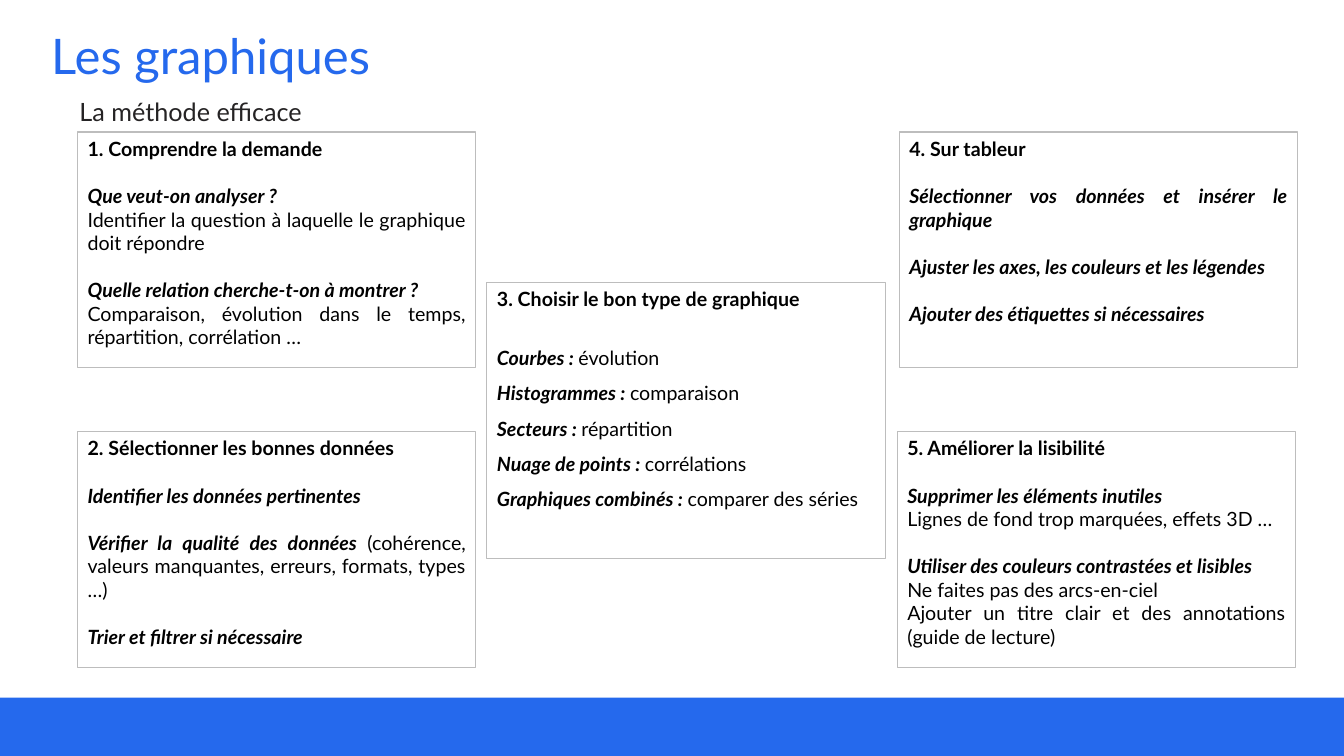
from dataclasses import dataclass

import pptx
import pptx.dml.color
import pptx.enum.shapes
import pptx.enum.text
import pptx.util

Inches = pptx.util.Inches
Align = pptx.enum.text.PP_ALIGN
Anchor = pptx.enum.text.MSO_ANCHOR

FONT = "Lato"
COLORS = {
    "blue": "2569ED",
    "dark": "252324",
    "black": "000000",
    "white": "FFFFFF",
    "border": "BDBDBD",
}
CARD_WIDTH = 3.95
CARD_HEIGHT = 2.34
TOP_ROW, BOTTOM_ROW = 1.31, 4.28
BODY_SIZE = 14
GAP = 16.8  # one blank line of body text, in points


@dataclass
class Line:
    strong: str = ""  # bold italic part
    plain: str = ""
    gap: bool = False  # one line of space above


@dataclass
class Card:
    left: float
    top: float
    heading: str
    lines: list[Line]
    height: float = CARD_HEIGHT
    line_spacing: float = 1.0


CARDS = [
    Card(0.77, TOP_ROW, "1. Comprendre la demande", [
        Line("Que veut-on analyser ?", gap=True),
        Line(plain="Identifier la question à laquelle le graphique doit répondre"),
        Line("Quelle relation cherche-t-on à montrer ?", gap=True),
        Line(plain="Comparaison, évolution dans le temps, répartition, corrélation …"),
    ]),
    Card(0.77, BOTTOM_ROW, "2. Sélectionner les bonnes données", [
        Line("Identifier les données pertinentes", gap=True),
        Line("Vérifier la qualité des données ",
             "(cohérence, valeurs manquantes, erreurs, formats, types …)", gap=True),
        Line("Trier et filtrer si nécessaire", gap=True),
    ]),
    Card(8.92, TOP_ROW, "4. Sur tableur", [
        Line("Sélectionner vos données et insérer le graphique", gap=True),
        Line("Ajuster les axes, les couleurs et les légendes", gap=True),
        Line("Ajouter des étiquettes si nécessaires", gap=True),
    ]),
    Card(8.9, BOTTOM_ROW, "5. Améliorer la lisibilité", [
        Line("Supprimer les éléments inutiles", gap=True),
        Line(plain="Lignes de fond trop marquées, effets 3D …"),
        Line("Utiliser des couleurs contrastées et lisibles", gap=True),
        Line(plain="Ne faites pas des arcs-en-ciel"),
        Line(plain="Ajouter un titre clair et des annotations (guide de lecture)"),
    ]),
    Card(4.83, 2.8, "3. Choisir le bon type de graphique", [
        Line("Courbes : ", "évolution", gap=True),
        Line("Histogrammes : ", "comparaison"),
        Line("Secteurs : ", "répartition"),
        Line("Nuage de points : ", "corrélations"),
        Line("Graphiques combinés : ", "comparer des séries"),
    ], height=2.74, line_spacing=1.5),
]


def rgb(name: str) -> pptx.dml.color.RGBColor:
    return pptx.dml.color.RGBColor.from_string(COLORS[name])


def add_run(paragraph, text: str, *, size: float = BODY_SIZE, color: str = "black",
            bold: bool = False, italic: bool = False) -> None:
    run = paragraph.add_run()
    run.text = text
    run.font.name = FONT
    run.font.size = pptx.util.Pt(size)
    run.font.bold = bold
    run.font.italic = italic
    run.font.color.rgb = rgb(color)


def add_rectangle(slide, left: float, top: float, width: float, height: float,
                  fill: str, border: str | None = None):
    shape = slide.shapes.add_shape(
        pptx.enum.shapes.MSO_SHAPE.RECTANGLE,
        Inches(left), Inches(top), Inches(width), Inches(height))
    shape.shadow.inherit = False
    shape.fill.solid()
    shape.fill.fore_color.rgb = rgb(fill)
    if border:
        shape.line.color.rgb = rgb(border)
        shape.line.width = pptx.util.Pt(0.75)
    else:
        shape.line.fill.background()
    return shape


def add_text_box(slide, left: float, top: float, width: float, height: float,
                 text: str, *, size: float, color: str, anchor=Anchor.TOP,
                 line_spacing: float = 1.0) -> None:
    box = slide.shapes.add_textbox(
        Inches(left), Inches(top), Inches(width), Inches(height))
    frame = box.text_frame
    frame.word_wrap = True
    frame.vertical_anchor = anchor
    paragraph = frame.paragraphs[0]
    paragraph.line_spacing = line_spacing
    add_run(paragraph, text, size=size, color=color)


def add_card(slide, card: Card) -> None:
    shape = add_rectangle(slide, card.left, card.top, CARD_WIDTH, card.height,
                          "white", "border")
    frame = shape.text_frame
    frame.word_wrap = True
    frame.vertical_anchor = Anchor.TOP
    heading = frame.paragraphs[0]
    heading.alignment = Align.LEFT
    add_run(heading, card.heading, bold=True)
    for line in card.lines:
        paragraph = frame.add_paragraph()
        paragraph.alignment = Align.JUSTIFY
        paragraph.line_spacing = card.line_spacing
        if line.gap:
            paragraph.space_before = pptx.util.Pt(GAP)
        if line.strong:
            add_run(paragraph, line.strong, bold=True, italic=True)
        if line.plain:
            add_run(paragraph, line.plain)


def main() -> None:
    presentation = pptx.Presentation()
    presentation.slide_width = Inches(13.33)
    presentation.slide_height = Inches(7.5)
    slide = presentation.slides.add_slide(presentation.slide_layouts[6])

    # Footer band
    add_rectangle(slide, 0, 6.92, 13.33, 0.58, "blue")

    # Title and subtitle
    add_text_box(slide, 0.41, 0.27, 12.31, 0.63, "Les graphiques", size=35,
                 color="blue", anchor=Anchor.MIDDLE, line_spacing=0.9)
    add_text_box(slide, 0.69, 0.91, 2.7, 0.4, "La méthode efficace", size=18,
                 color="dark")

    # Method steps
    for card in CARDS:
        add_card(slide, card)

    presentation.save("out.pptx")


if __name__ == "__main__":
    main()
